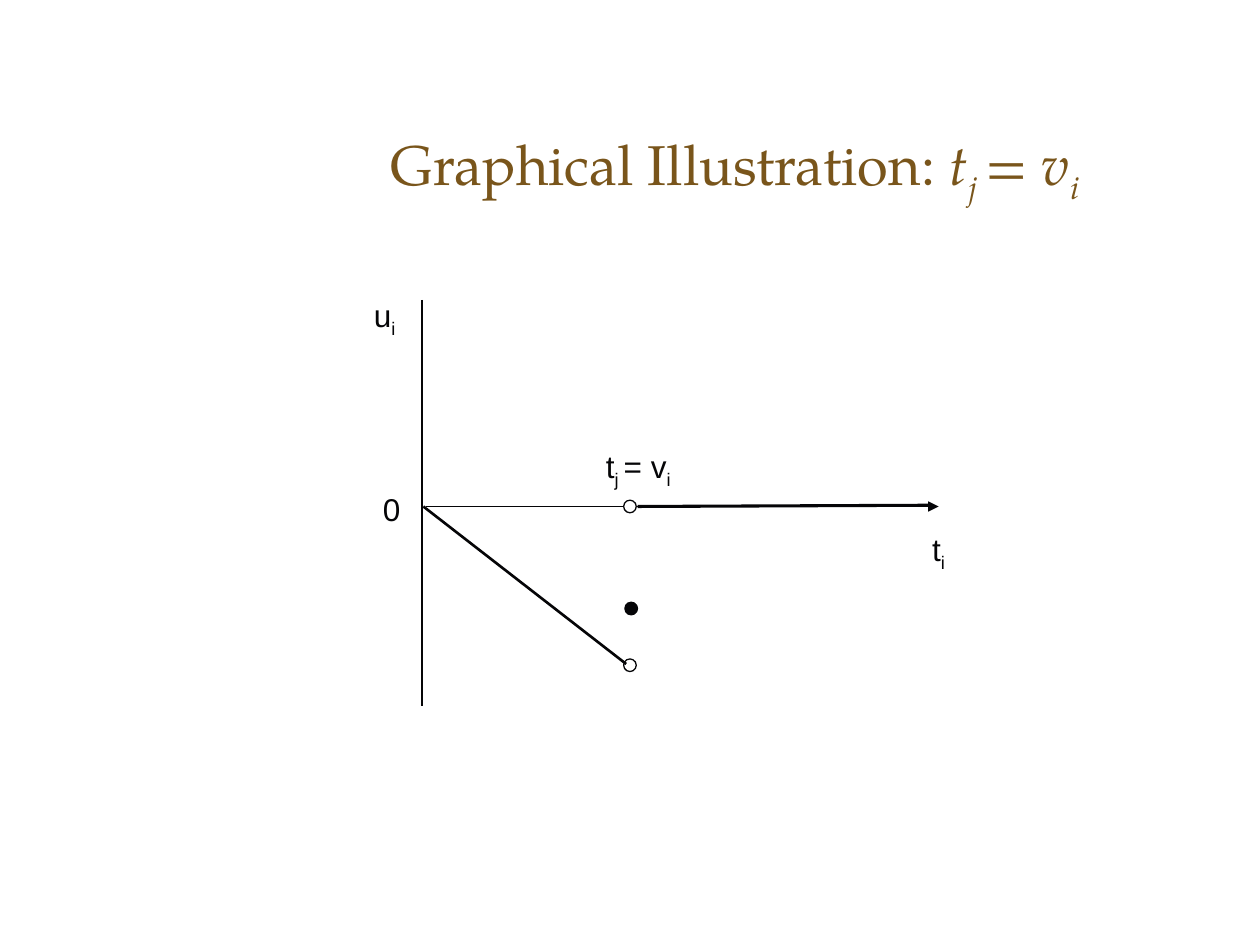
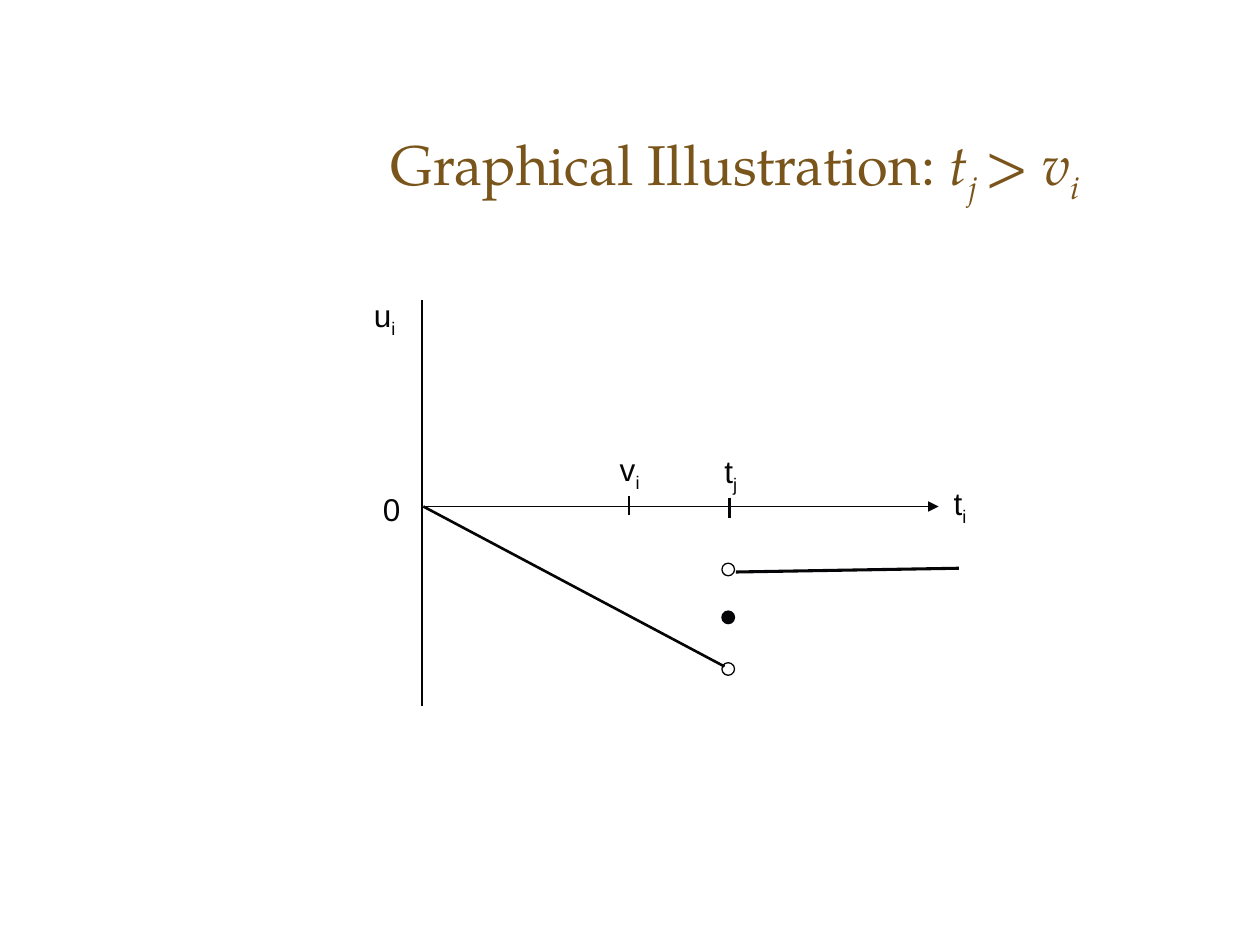
import pptx
import pptx.util
import pptx.dml.color
import pptx.enum.shapes
import pptx.enum.text
import pptx.oxml
import pptx.oxml.ns
from pptx.util import Inches

BROWN = pptx.dml.color.RGBColor(0x79, 0x55, 0x1B)
INK = pptx.dml.color.RGBColor(0x05, 0x05, 0x07)
WHITE = pptx.dml.color.RGBColor(0xFF, 0xFF, 0xFF)

TITLE_FONT, LABEL_FONT = "TeX Gyre Pagella", "Arial"
SLIDE_W, SLIDE_H = 10, 7.5
TITLE_BOX = (3, 0.83, 6, 1)
LABEL_HEIGHT = 0.44
DOT = 0.1

# Graph lengths are inches from the origin, x to the right and y downwards.
ORIGIN = (3.35, 4.02)
UTILITY_AXIS = ((0, -1.64), (0, 1.58))
TIME_AXIS = ((0.03, 0), (4.1, 0))
AXIS_LABELS = [("u|i", -0.48, -1.72, 0.57), ("0", -0.41, -0.18, 0.32)]

# In a text, every second part between bars is a subscript.
# Labels: text, left, top, width. Dots: centre and fill.
GRAPHS = [
    {
        "relation": "t|j |= v|i",
        "labels": [("t|i", 3.95, 0.14, 0.96), ("t|j |= v|i", 1.36, -0.52, 0.8)],
        "dots": [(1.65, 1.26, WHITE), (1.65, 0, WHITE), (1.66, 0.81, INK)],
        "ticks": [],
        "falling": ((0.01, 0), (1.62, 1.25)),
        "level": ((1.71, 0), (4.02, -0.01)),
    },
    {
        "relation": "t|j |> v|i",
        "labels": [("t|i", 4.12, -0.23, 0.53), ("t|j", 2.3, -0.48, 0.35),
                   ("v|i", 1.47, -0.5, 0.81)],
        "dots": [(2.43, 1.29, WHITE), (2.43, 0.5, WHITE), (2.43, 0.88, INK)],
        "ticks": [((2.44, -0.07), (2.44, 0.09)), ((1.64, -0.08), (1.64, 0.07))],
        "falling": ((0.01, 0), (2.4, 1.27)),
        "level": ((2.49, 0.52), (4.26, 0.49)),
    },
]


def on_slide(x, y):
    return Inches(ORIGIN[0] + x), Inches(ORIGIN[1] + y)


def add_formula(paragraph, formula, italic=False):
    for index, part in enumerate(formula.split("|")):
        run = paragraph.add_run()
        run.text = part
        if italic:
            run.font.italic = True
        if index % 2:
            run._r.get_or_add_rPr().set("baseline", "-25000")


def add_text(slide, box, font_name, size, color):
    frame = slide.shapes.add_textbox(*box).text_frame
    frame.word_wrap = True
    paragraph = frame.paragraphs[0]
    paragraph.font.name = font_name
    paragraph.font.size = pptx.util.Pt(size)
    paragraph.font.color.rgb = color
    return frame, paragraph


def add_title(slide, relation):
    box = [Inches(length) for length in TITLE_BOX]
    frame, paragraph = add_text(slide, box, TITLE_FONT, 32, BROWN)
    frame.vertical_anchor = pptx.enum.text.MSO_ANCHOR.MIDDLE
    paragraph.add_run().text = "Graphical Illustration: "
    add_formula(paragraph, relation, italic=True)


def add_label(slide, formula, left, top, width):
    box = (*on_slide(left, top), Inches(width), Inches(LABEL_HEIGHT))
    paragraph = add_text(slide, box, LABEL_FONT, 18, INK)[1]
    add_formula(paragraph, formula)


def add_line(slide, ends, width, arrow=False):
    start, end = ends
    line = slide.shapes.add_connector(
        pptx.enum.shapes.MSO_CONNECTOR.STRAIGHT, *on_slide(*start), *on_slide(*end))
    line.line.color.rgb = INK
    line.line.width = pptx.util.Pt(width)
    properties = line._element.spPr
    if arrow:
        head = pptx.oxml.ns.qn("a:tailEnd")
        line.line._get_or_add_ln().append(
            properties.makeelement(head, {"type": "triangle"}))
    properties.append(properties.makeelement(pptx.oxml.ns.qn("a:effectLst"), {}))


def add_dot(slide, x, y, fill):
    dot = slide.shapes.add_shape(
        pptx.enum.shapes.MSO_SHAPE.FLOWCHART_CONNECTOR,
        *on_slide(x - DOT / 2, y - DOT / 2), Inches(DOT), Inches(DOT))
    dot.shadow.inherit = False
    dot.fill.solid()
    dot.fill.fore_color.rgb = fill
    dot.line.color.rgb = INK
    dot.line.width = pptx.util.Pt(0.75)


def add_graph(slide, graph):
    # Axes
    add_line(slide, UTILITY_AXIS, 1.5)
    add_line(slide, TIME_AXIS, 0.75, arrow=True)
    for tick in graph["ticks"]:
        add_line(slide, tick, 1.25)
    # Utility: a falling part, a jump, a level part
    for dot in graph["dots"]:
        add_dot(slide, *dot)
    add_line(slide, graph["falling"], 1.5)
    add_line(slide, graph["level"], 1.75)
    # Labels
    for label in AXIS_LABELS + graph["labels"]:
        add_label(slide, *label)


def main():
    deck = pptx.Presentation()
    deck.slide_width, deck.slide_height = Inches(SLIDE_W), Inches(SLIDE_H)
    for graph in GRAPHS:
        slide = deck.slides.add_slide(deck.slide_layouts[6])
        add_title(slide, graph["relation"])
        add_graph(slide, graph)
    deck.save("out.pptx")


if __name__ == "__main__":
    main()
